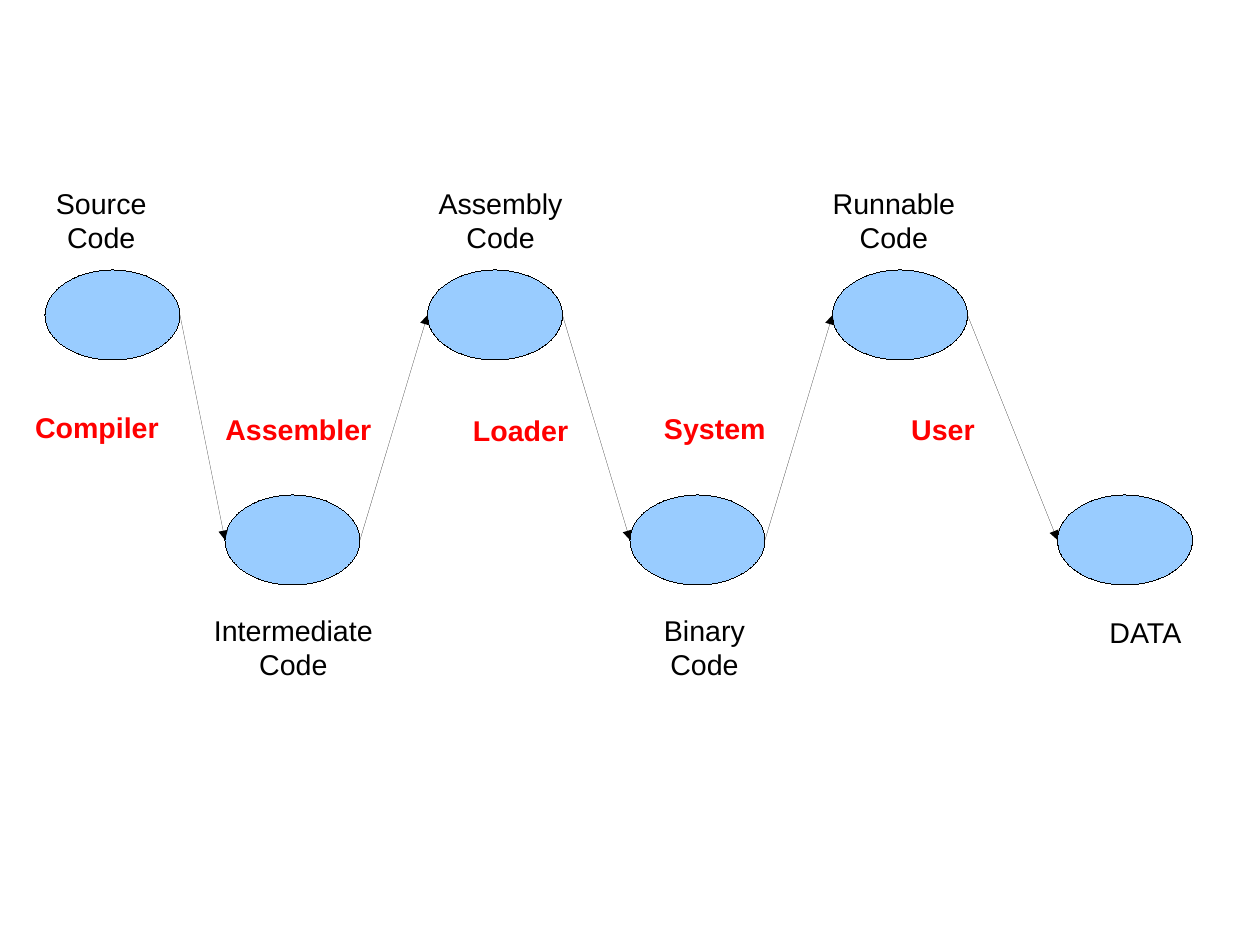
from itertools import pairwise

from pptx import Presentation
from pptx.dml.color import RGBColor
from pptx.enum.shapes import MSO_CONNECTOR as Connector, MSO_SHAPE as Preset
from pptx.enum.text import MSO_AUTO_SIZE as AutoSize, PP_ALIGN as Align
from pptx.oxml.ns import qn
from pptx.util import Cm, Pt
from lxml.etree import SubElement

BLACK, RED, SKY = "000000", "FF0000", "99CCFF"
HAIRLINE = Pt(0.01)
NODE_WIDTH, NODE_HEIGHT = 3, 2
UPPER_ROW, LOWER_ROW = 6, 11
NODE_LEFTS = [1, 5, 9.5, 14, 18.5, 23.5]
CODE_LABELS = [
    ("Source\nCode", 0.95, 4, 2.6),
    ("Intermediate\nCode", 4.45, 13.5, 4.14),
    ("Assembly\nCode", 9.45, 4, 3.35),
    ("Binary\nCode", 14.45, 13.5, 2.41),
    ("Runnable\nCode", 18.2, 4, 3.33),
    ("DATA", 24.35, 13.54, 2.21),
]
TOOL_LABELS = [
    ("Compiler", 0.48, 8.98, 3.35),
    ("Assembler", 4.7, 9.04, 3.86),
    ("Loader", 10.21, 9.06, 2.72),
    ("System", 14.45, 9, 2.87),
    ("User", 19.95, 9.04, 2.01),
]


def color(value):
    """Return the colour for a hex string."""
    return RGBColor.from_string(value)


def add_node(slide, left, top):
    """Add one ellipse with its top left corner at the given place."""
    shape = slide.shapes.add_shape(
        Preset.OVAL, Cm(left), Cm(top), Cm(NODE_WIDTH), Cm(NODE_HEIGHT))
    shape.shadow.inherit = False
    shape.fill.solid()
    shape.fill.fore_color.rgb = color(SKY)
    shape.line.color.rgb = color(BLACK)
    shape.line.width = HAIRLINE
    return shape


def add_arrow(slide, source, target):
    """Draw an arrow from the right of one node to the left of the next."""
    connector = slide.shapes.add_connector(
        Connector.STRAIGHT,
        source.left + source.width, source.top + source.height // 2,
        target.left, target.top + target.height // 2)
    connector.line.color.rgb = color(BLACK)
    connector.line.width = HAIRLINE
    SubElement(connector.line._get_or_add_ln(), qn("a:tailEnd"), type="triangle")
    SubElement(connector._element.spPr, qn("a:effectLst"))


def add_label(slide, text, left, top, width, text_color, bold=False):
    """Add a centred label whose height follows its number of lines."""
    height = 0.26 + 0.71 * len(text.splitlines())
    shape = slide.shapes.add_textbox(Cm(left), Cm(top), Cm(width), Cm(height))
    text_frame = shape.text_frame
    text_frame.text = text
    text_frame.word_wrap = False
    text_frame.auto_size = AutoSize.SHAPE_TO_FIT_TEXT
    for paragraph in text_frame.paragraphs:
        paragraph.alignment = Align.CENTER
        for run in paragraph.runs:
            run.font.name = "Arial"
            run.font.size = Pt(18)
            run.font.bold = bold
            run.font.color.rgb = color(text_color)


def add_pipeline(slide):
    """Draw the zigzag of nodes, the arrows between them and all labels."""
    nodes = [add_node(slide, left, LOWER_ROW if index % 2 else UPPER_ROW)
             for index, left in enumerate(NODE_LEFTS)]
    for source, target in pairwise(nodes):
        add_arrow(slide, source, target)
    for label in CODE_LABELS:
        add_label(slide, *label, BLACK)
    for label in TOOL_LABELS:
        add_label(slide, *label, RED, bold=True)


def main():
    """Build and save the presentation."""
    presentation = Presentation()
    presentation.slide_width = Cm(28)
    presentation.slide_height = Cm(21)
    slide = presentation.slides.add_slide(presentation.slide_layouts[6])
    add_pipeline(slide)
    presentation.save("out.pptx")


if __name__ == "__main__":
    main()
